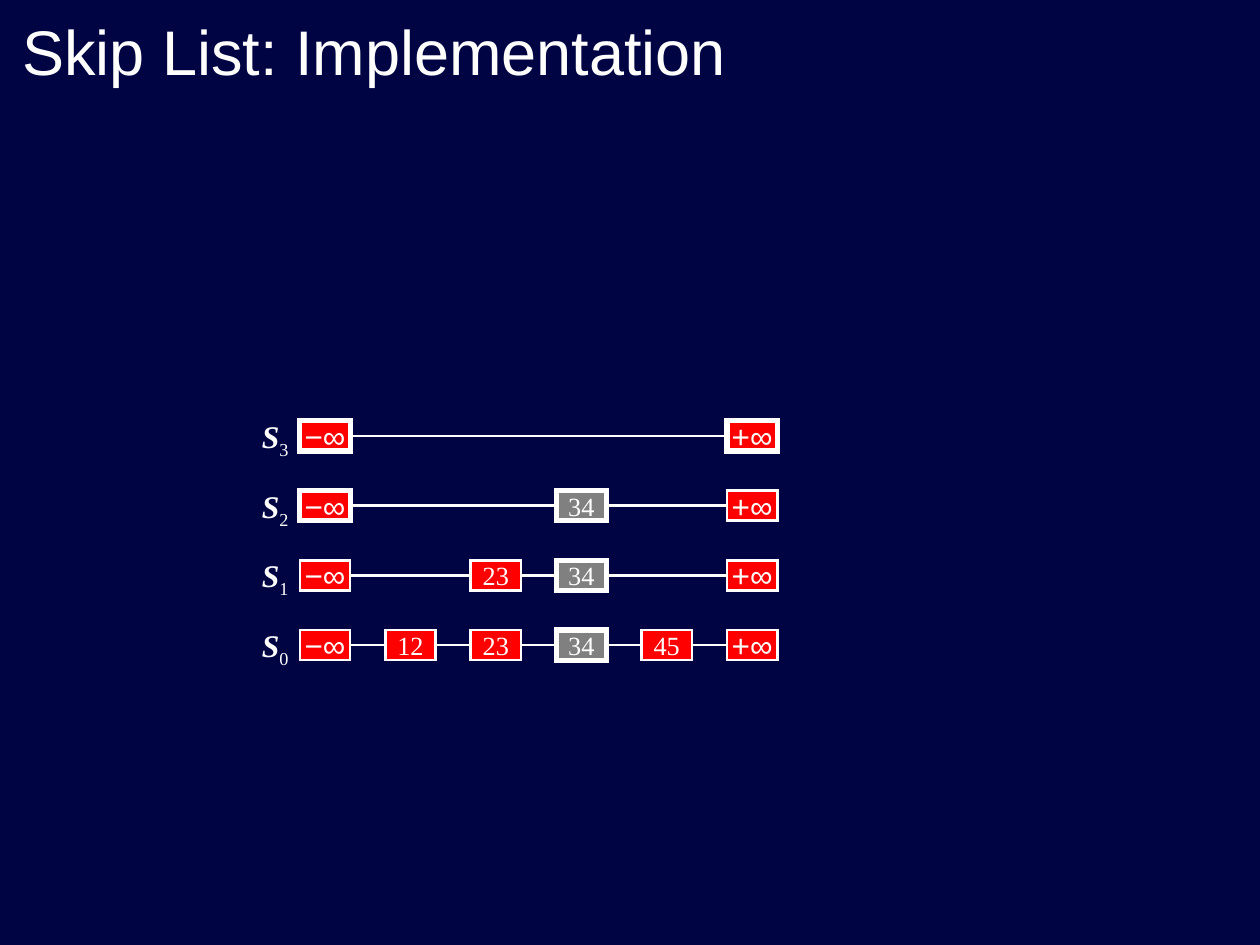
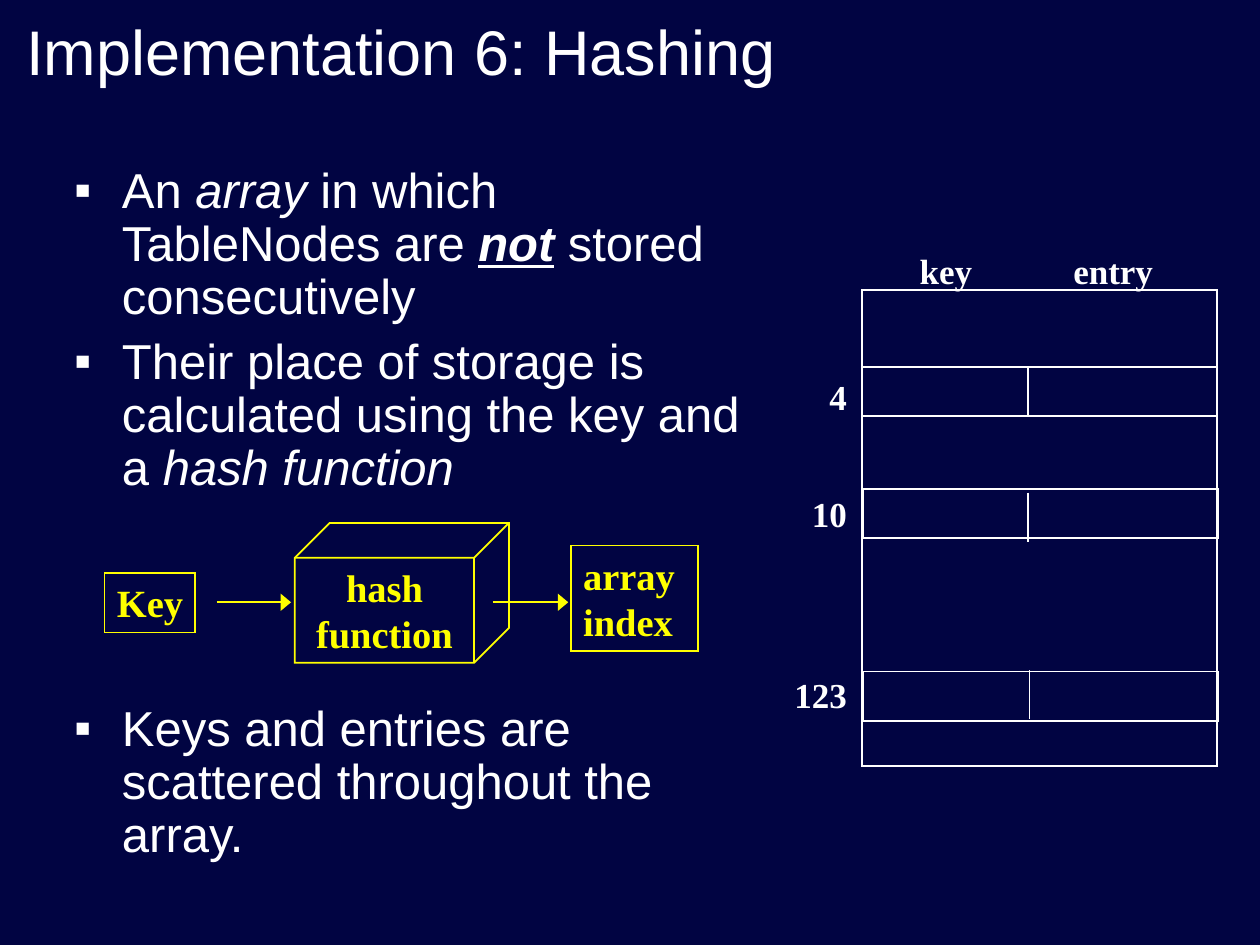
import lxml.etree
import pptx
import pptx.dml.color
import pptx.enum.shapes
import pptx.enum.text
import pptx.oxml.ns
import pptx.util
from pptx.util import Inches

Shape = pptx.enum.shapes.MSO_SHAPE
Align = pptx.enum.text.PP_ALIGN
Anchor = pptx.enum.text.MSO_ANCHOR

NAVY, WHITE, RED, GREY, YELLOW = "010442", "FFFFFF", "FF0000", "808080", "FFFF00"
SANS, SERIF = "Arial", "Times New Roman"


def rgb(color):
    return pptx.dml.color.RGBColor.from_string(color)


def add_xml(parent, tag, **attributes):
    return lxml.etree.SubElement(parent, pptx.oxml.ns.qn(tag), **attributes)


class Deck:
    """Holds the shared style and the slide being drawn."""

    def __init__(self):
        self.prs = pptx.Presentation()
        self.prs.slide_width, self.prs.slide_height = Inches(10), Inches(7.5)
        background = self.prs.slide_master.background.fill
        background.solid()
        background.fore_color.rgb = rgb(NAVY)
        self.slide = None

    def start_slide(self, title, left):
        self.slide = self.prs.slides.add_slide(self.prs.slide_layouts[6])
        self.text(title, left, 0.08, 9.3, 0.67, size=36, font=SANS, bold=False,
                  anchor=Anchor.BOTTOM, wrap=True)

    def style_run(self, run, size, font, color, bold=False, italic=False, underline=False):
        run.font.size = pptx.util.Pt(size)
        run.font.name = font
        run.font.color.rgb = rgb(color)
        run.font.bold, run.font.italic, run.font.underline = bold, italic, underline

    def fill_text(self, shape, words, size, font, color=WHITE, bold=True,
                  align=Align.LEFT, anchor=Anchor.TOP, wrap=False):
        frame = shape.text_frame
        frame.text = words
        frame.word_wrap, frame.vertical_anchor = wrap, anchor
        frame.paragraphs[0].alignment = align
        for run in frame.paragraphs[0].runs:
            self.style_run(run, size, font, color, bold)

    def text(self, words, left, top, width, height, size=20, font=SERIF, **style):
        box = self.slide.shapes.add_textbox(
            Inches(left), Inches(top), Inches(width), Inches(height))
        self.fill_text(box, words, size, font, **style)
        return box

    def box(self, left, top, width, height, line=WHITE, weight=1, fill=None,
            kind=Shape.RECTANGLE):
        shape = self.slide.shapes.add_shape(
            kind, Inches(left), Inches(top), Inches(width), Inches(height))
        shape.shadow.inherit = False
        if fill:
            shape.fill.solid()
            shape.fill.fore_color.rgb = rgb(fill)
        else:
            shape.fill.background()
        shape.line.color.rgb = rgb(line)
        shape.line.width = pptx.util.Pt(weight)
        add_xml(shape.line._get_or_add_ln(), "a:miter", lim="800000")
        return shape

    def line(self, x1, y1, x2, y2, color=WHITE, weight=1, arrow=False):
        connector = self.slide.shapes.add_connector(
            pptx.enum.shapes.MSO_CONNECTOR.STRAIGHT,
            Inches(x1), Inches(y1), Inches(x2), Inches(y2))
        connector.line.color.rgb = rgb(color)
        connector.line.width = pptx.util.Pt(weight)
        if arrow:
            add_xml(connector.line._get_or_add_ln(), "a:tailEnd", type="triangle", w="lg")
        add_xml(connector._element.spPr, "a:effectLst")
        return connector

    def link(self, left_node, right_node):
        connector = self.line(0, 0, 1, 0, weight=1.5)
        connector.begin_connect(left_node, 3)
        connector.end_connect(right_node, 1)

    def bullets(self, items, left, top, width, height):
        """Each item is (space before in points, [(words, run style), ...])."""
        box = self.slide.shapes.add_textbox(
            Inches(left), Inches(top), Inches(width), Inches(height))
        frame = box.text_frame
        frame.word_wrap = True
        for number, (space_before, runs) in enumerate(items):
            paragraph = frame.add_paragraph() if number else frame.paragraphs[0]
            paragraph.line_spacing = 0.9
            paragraph.space_before = pptx.util.Pt(space_before)
            properties = paragraph._p.get_or_add_pPr()
            properties.set("marL", str(Inches(0.38)))
            properties.set("indent", str(-Inches(0.38)))
            bullet_color = add_xml(properties, "a:buClr")
            add_xml(bullet_color, "a:srgbClr", val=WHITE)
            add_xml(properties, "a:buFont", typeface=SANS)
            add_xml(properties, "a:buChar", char="▪")
            for words, style in runs:
                run = paragraph.add_run()
                run.text = words
                self.style_run(run, 28, SANS, WHITE, **style)


def draw_skip_list(deck):
    deck.start_slide("Skip List: Implementation", 0.08)
    keys = ["−∞", "12", "23", "34", "45", "+∞"]
    levels = [keys, ["−∞", "23", "34", "+∞"], ["−∞", "34", "+∞"], ["−∞", "+∞"]]
    visited = {(3, "−∞"), (3, "+∞"), (2, "−∞"), (2, "34"), (1, "34"), (0, "34")}
    column_step, level_step = (5.77 - 2.38) / 5, (5 - 3.34) / 3

    for level, level_keys in enumerate(levels):
        top = 5 - level * level_step
        label = deck.text("S", 1.98, top - 0.08, 0.41, 0.44, size=18, align=Align.CENTER)
        paragraph = label.text_frame.paragraphs[0]
        paragraph.runs[0].font.italic = True
        subscript = paragraph.add_run()
        subscript.text = str(level)
        deck.style_run(subscript, 18, SERIF, WHITE)
        subscript._r.get_or_add_rPr().set("baseline", "-25000")

        nodes = []
        for key in level_keys:
            node = deck.box(2.38 + keys.index(key) * column_step, top, 0.4, 0.24,
                            weight=3 if (level, key) in visited else 1.5,
                            fill=GREY if key == "34" else RED)
            size, font = (18, SANS) if "∞" in key else (15, SERIF)
            deck.fill_text(node, key, size, font, bold=False,
                           align=Align.CENTER, anchor=Anchor.MIDDLE)
            nodes.append(node)
        for left_node, right_node in zip(nodes, nodes[1:]):
            deck.link(left_node, right_node)


def draw_hashing(deck):
    deck.start_slide("Implementation 6: Hashing", 0.11)
    italic = {"italic": True}
    deck.bullets([
        (0, [("An ", {}), ("array", italic), (" in which TableNodes are ", {}),
             ("not", {"bold": True, "italic": True, "underline": True}),
             (" stored consecutively", {})]),
        (7, [("Their place of storage is calculated using the key and a ", {}),
             ("hash function", italic)]),
        # Leaves room for the hash function diagram
        (119, [("Keys and entries are scattered throughout the array.", {})]),
    ], 0.49, 1.27, 5.67, 5.65)

    diagram = {"size": 22, "font": SERIF, "color": YELLOW}
    key = deck.box(0.83, 4.55, 0.72, 0.47, YELLOW)
    deck.fill_text(key, "Key", **diagram)
    hash_function = deck.box(2.34, 4.15, 1.7, 1.11, YELLOW, kind=Shape.CUBE)
    deck.fill_text(hash_function, "hash function", align=Align.CENTER,
                   anchor=Anchor.MIDDLE, wrap=True, **diagram)
    array_index = deck.box(4.53, 4.33, 1.01, 0.84, YELLOW)
    deck.fill_text(array_index, "array index", wrap=True, **diagram)
    for start, end in [(1.72, 2.31), (3.91, 4.51)]:
        deck.line(start, 4.78, end, 4.78, YELLOW, arrow=True)

    deck.box(6.84, 2.3, 2.82, 3.78)
    for heading, left in [("key", 7.2), ("entry", 8.42)]:
        deck.text(heading, left, 1.93, 1.1, 0.44, wrap=True)
    # index, cell left and top, label top, divider x and top
    for index, left, top, label_top, divider, divider_top in [
            ("4", 6.84, 2.91, 2.93, 8.16, 2.92),
            ("10", 6.85, 3.88, 3.86, 8.16, 3.91),
            ("123", 6.85, 5.33, 5.3, 8.17, 5.32)]:
        deck.box(left, top, 2.82, 0.39)
        deck.text(index, 6.1, label_top, 0.72, 0.44, align=Align.RIGHT, wrap=True)
        deck.line(divider, divider_top, divider, divider_top + 0.39)


def main():
    deck = Deck()
    draw_skip_list(deck)
    draw_hashing(deck)
    deck.prs.save("out.pptx")


if __name__ == "__main__":
    main()
